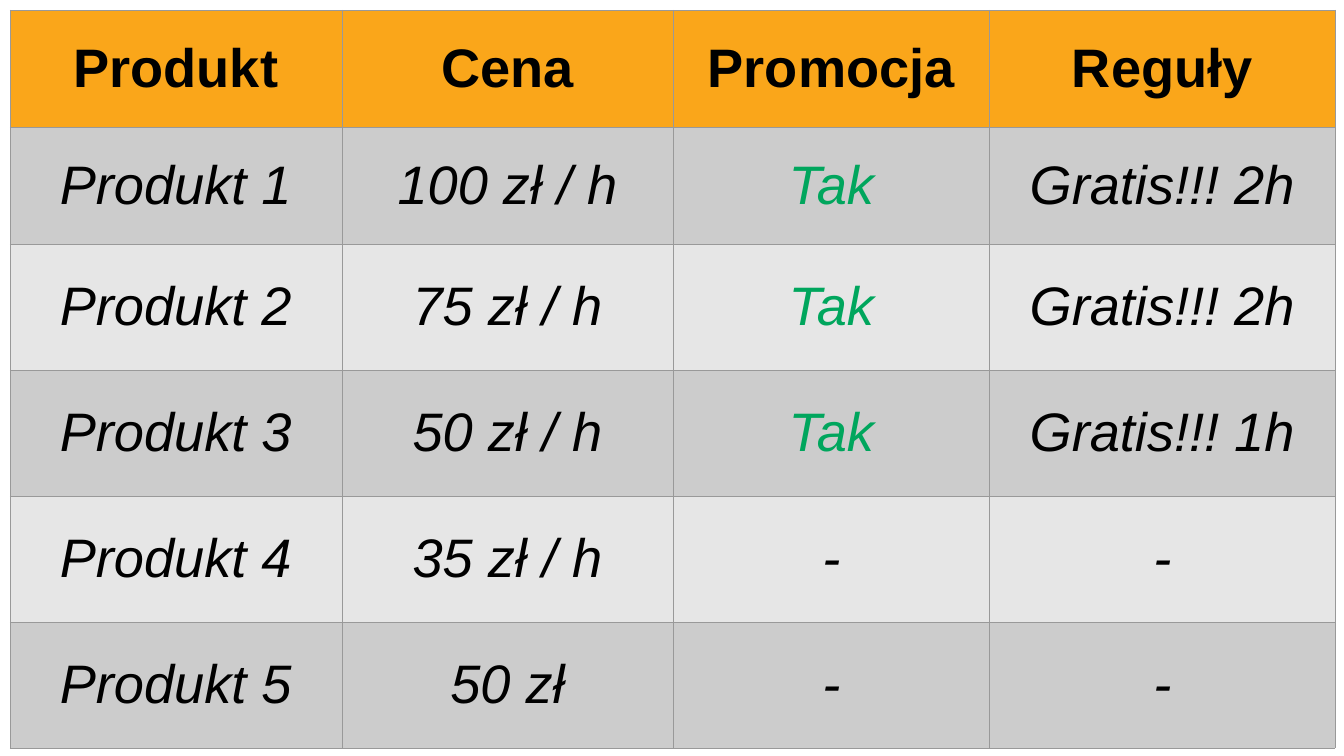
from lxml import etree
from pptx import Presentation
from pptx.dml.color import RGBColor
from pptx.enum.text import MSO_ANCHOR, PP_ALIGN
from pptx.oxml.ns import qn
from pptx.util import Cm, Pt

CENTER = PP_ALIGN.CENTER
MIDDLE = MSO_ANCHOR.MIDDLE
BLANK = 6

ORANGE, GREEN, BLACK = "FAA61A", "00A65D", "000000"
BANDS = ("CCCCCC", "E6E6E6")
BORDER = "999999"

COL_WIDTHS = (6.91, 6.91, 6.58, 7.21)
ROW_HEIGHTS = (2.44, 2.44, 2.62, 2.62, 2.62, 2.64)
PRICES = (
    ("Produkt", "Cena", "Promocja", "Reguły"),
    ("Produkt 1", "100 zł / h", "Tak", "Gratis!!! 2h"),
    ("Produkt 2", "75 zł / h", "Tak", "Gratis!!! 2h"),
    ("Produkt 3", "50 zł / h", "Tak", "Gratis!!! 1h"),
    ("Produkt 4", "35 zł / h", "-", "-"),
    ("Produkt 5", "50 zł", "-", "-"),
)


def rgb(value):
    return RGBColor.from_string(value)


class Deck:
    font = "Arial"
    size = Pt(32)
    border_width = Pt(0.06)

    def __init__(self, width, height):
        self.prs = Presentation()
        self.prs.slide_width = Cm(width)
        self.prs.slide_height = Cm(height)
        self.s = None

    def slide(self):
        self.s = self.prs.slides.add_slide(self.prs.slide_layouts[BLANK])

    def borders(self, cell, color):
        tc_pr = cell._tc.get_or_add_tcPr()
        for side in ("lnL", "lnR", "lnT", "lnB"):
            ln = etree.SubElement(tc_pr, qn(f"a:{side}"), w=str(self.border_width))
            fill = etree.SubElement(ln, qn("a:solidFill"))
            etree.SubElement(fill, qn("a:srgbClr"), val=color)

    def cell(self, cell, text, fill, color, header):
        self.borders(cell, BORDER)
        cell.fill.solid()
        cell.fill.fore_color.rgb = rgb(fill)
        cell.vertical_anchor = MIDDLE
        p = cell.text_frame.paragraphs[0]
        p.alignment = CENTER
        r = p.add_run()
        r.text = text
        r.font.name = self.font
        r.font.size = self.size
        r.font.bold = header
        r.font.italic = not header
        r.font.color.rgb = rgb(color)

    def table(self, left, top, widths, heights, rows):
        frame = self.s.shapes.add_table(
            len(heights), len(widths), Cm(left), Cm(top), Cm(sum(widths)), Cm(sum(heights))
        )
        table = frame.table
        for column, width in zip(table.columns, widths):
            column.width = Cm(width)
        for i, (row, height) in enumerate(zip(table.rows, heights)):
            row.height = Cm(height)
            header = i == 0
            fill = ORANGE if header else BANDS[(i - 1) % 2]
            for cell, text in zip(row.cells, rows[i]):
                color = GREEN if text == "Tak" else BLACK
                self.cell(cell, text, fill, color, header)


def main():
    deck = Deck(28, 15.75)
    deck.slide()
    deck.table(0.21, 0.21, COL_WIDTHS, ROW_HEIGHTS, PRICES)
    deck.prs.save("out.pptx")


if __name__ == "__main__":
    main()
